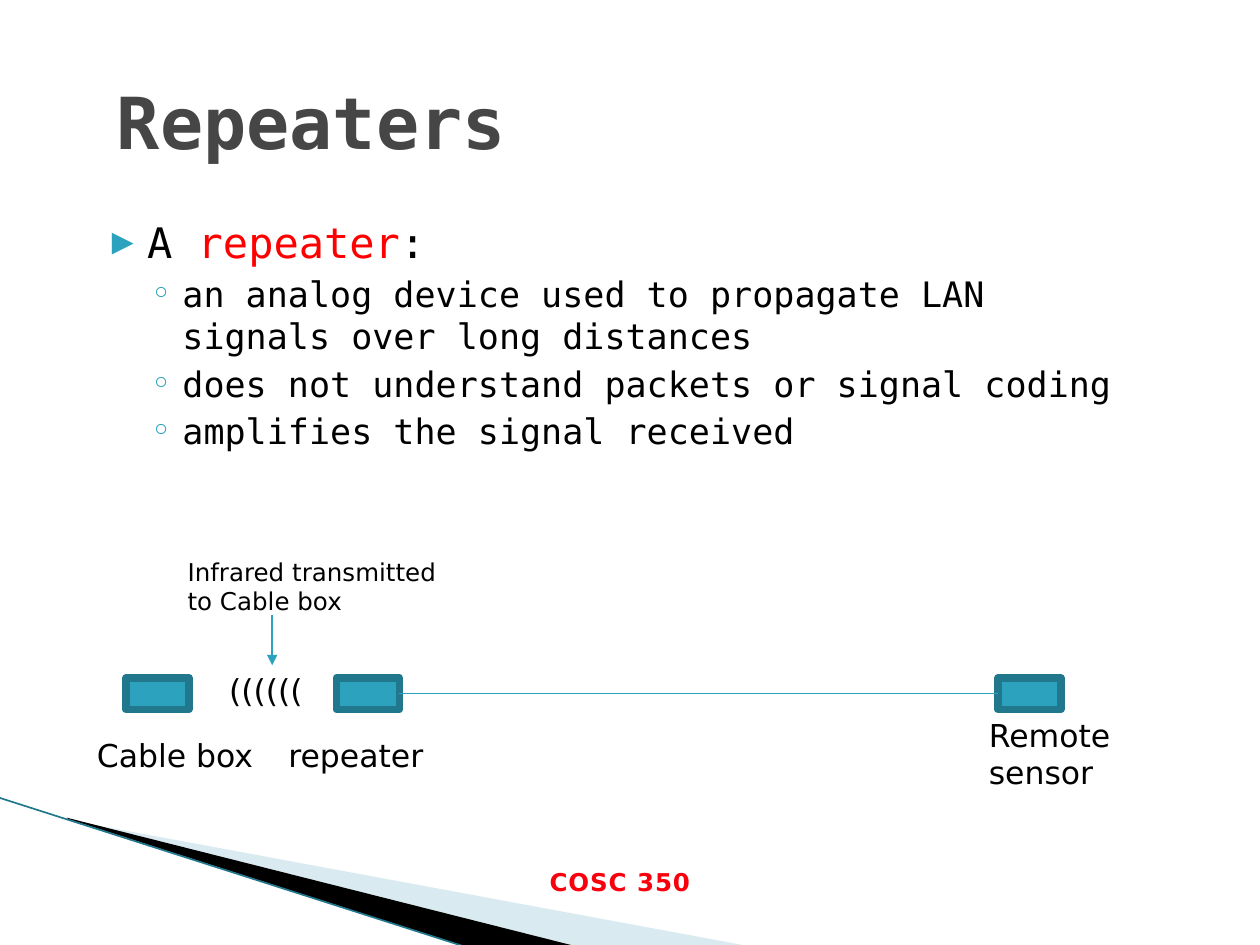
from lxml import etree
from pptx import Presentation
from pptx.dml.color import RGBColor
from pptx.enum import shapes, text
from pptx.oxml.ns import qn
from pptx.util import Inches, Pt

SANS, MONO = "DejaVu Sans", "DejaVu Sans Mono"
TEAL, DARK_TEAL, BLACK, RED = "2DA2BF", "21788D", "000000", "FF0000"


def color(value):
    return RGBColor.from_string(value)


def add_xml(parent, tag, **attributes):
    return etree.SubElement(parent, qn(tag), attributes)


class SlideBuilder:
    """Holds the text style and the current slide."""

    def __init__(self, slide, font=SANS):
        self.shapes = slide.shapes
        self.font = font

    def run(self, paragraph, words, size, ink=BLACK, bold=False, font=None, spacing=None):
        run = paragraph.add_run()
        run.text = words
        run.font.name = font or self.font
        run.font.size = Pt(size)
        run.font.bold = bold
        run.font.color.rgb = color(ink)
        if spacing:
            run.font._element.set("spc", str(spacing))

    def frame(self, left, top, width, height, wrap=True):
        box = self.shapes.add_textbox(*map(Inches, (left, top, width, height)))
        frame = box.text_frame
        frame.word_wrap = wrap
        frame.auto_size = (text.MSO_AUTO_SIZE.NONE if wrap
                           else text.MSO_AUTO_SIZE.SHAPE_TO_FIT_TEXT)
        return frame

    def label(self, left, top, width, height, lines, size=18, align=None, **style):
        frame = self.frame(left, top, width, height, wrap=False)
        for index, line in enumerate(lines):
            paragraph = frame.add_paragraph() if index else frame.paragraphs[0]
            paragraph.alignment = align
            self.run(paragraph, line, size, **style)

    def bullet(self, paragraph, char, margin, indent, percent=100):
        props = paragraph._p.get_or_add_pPr()
        props.set("marL", str(Inches(margin)))
        props.set("indent", str(Inches(indent)))
        add_xml(add_xml(props, "a:buClr"), "a:srgbClr", val=TEAL)
        add_xml(props, "a:buSzPct", val=str(percent * 1000))
        add_xml(props, "a:buFont", typeface=SANS)
        add_xml(props, "a:buChar", char=char)

    def device(self, left, top=5.38):
        device = self.shapes.add_shape(shapes.MSO_SHAPE.RECTANGLE, Inches(left),
                                       Inches(top), Inches(0.5), Inches(0.25))
        device.shadow.inherit = False
        device.fill.solid()
        device.fill.fore_color.rgb = color(TEAL)
        device.line.color.rgb = color(DARK_TEAL)
        device.line.width = Pt(4.33)
        return device

    def wedge(self, points, fill, alpha=None):
        corners = [(Inches(x), Inches(y)) for x, y in points]
        builder = self.shapes.build_freeform(*corners[0])
        builder.add_line_segments(corners[1:], close=True)
        wedge = builder.convert_to_shape()
        wedge.shadow.inherit = False
        wedge.fill.solid()
        wedge.fill.fore_color.rgb = color(fill)
        wedge.line.fill.background()
        if alpha:
            fill_color = wedge._element.spPr.find(qn("a:solidFill"))[0]
            add_xml(fill_color, "a:alpha", val=str(alpha * 1000))

    def line(self, start, end, ink=TEAL, width=0.75, arrow=False):
        line = self.shapes.add_connector(shapes.MSO_CONNECTOR.STRAIGHT,
                                         *map(Inches, start + end))
        line.line.color.rgb = color(ink)
        line.line.width = Pt(width)
        if arrow:
            add_xml(line.line._get_or_add_ln(), "a:tailEnd", type="triangle")
        add_xml(line._element.spPr, "a:effectLst")
        return line


def main():
    deck = Presentation()
    deck.slide_width, deck.slide_height = Inches(10), Inches(7.5)
    page = SlideBuilder(deck.slides.add_slide(deck.slide_layouts[6]))

    # Corner decoration and course footer
    page.wedge([(0.55, 6.51), (5.95, 7.51), (4.56, 7.51), (0.55, 6.5)], "A0CBDC", alpha=40)
    page.wedge([(0.53, 6.49), (4.57, 7.51), (3.72, 7.52), (0.54, 6.5)], BLACK)
    page.line((-0.01, 6.33), (3.71, 7.52), ink=DARK_TEAL, width=0.95)
    page.label(4.25, 6.83, 1.34, 0.34, ["COSC 350"], size=14,
               align=text.PP_ALIGN.CENTER, ink="F9000C", bold=True, spacing=50)

    # Title
    title = page.frame(0.83, 0.33, 8.5, 1.25)
    title.vertical_anchor = text.MSO_ANCHOR.MIDDLE
    page.run(title.paragraphs[0], "Repeaters", 41, ink="464646", bold=True, font=MONO)

    # Definition and its points
    body = page.frame(0.67, 1.67, 8.5, 2.25)
    definition = body.paragraphs[0]
    page.bullet(definition, "▶", 0.4, -0.28, percent=68)
    for words, ink in (("A ", BLACK), ("repeater", RED), (":", BLACK)):
        page.run(definition, words, 24, ink=ink, font=MONO)
    for words in ("an analog device used to propagate LAN signals over long distances",
                  "does not understand packets or signal coding",
                  "amplifies the signal received"):
        point = body.add_paragraph()
        point.level = 1
        page.bullet(point, "◦", 0.68, -0.25)
        point.space_before = Pt(3.2)
        page.run(point, words, 20, font=MONO)

    # Devices and the cable between repeater and sensor
    cable_box, repeater, sensor = [page.device(left) for left in (1, 2.67, 7.92)]
    cable = page.line((3.17, 5.5), (7.92, 5.5))
    cable.begin_connect(repeater, 3)
    cable.end_connect(sensor, 1)

    # Device names, infrared waves and their note
    page.label(0.67, 5.79, 1.45, 0.4, ["Cable box"])
    page.label(2.19, 5.79, 1.28, 0.4, ["repeater"])
    page.label(7.75, 5.63, 1.17, 0.71, ["Remote", "sensor"])
    page.label(1.72, 5.28, 0.89, 0.4, ["(((((("])
    page.label(1.39, 4.37, 2.28, 0.57, ["Infrared transmitted", "to Cable box"], size=14)
    page.line((2.16, 4.88), (2.16, 5.28), arrow=True)

    deck.save("out.pptx")


if __name__ == "__main__":
    main()
